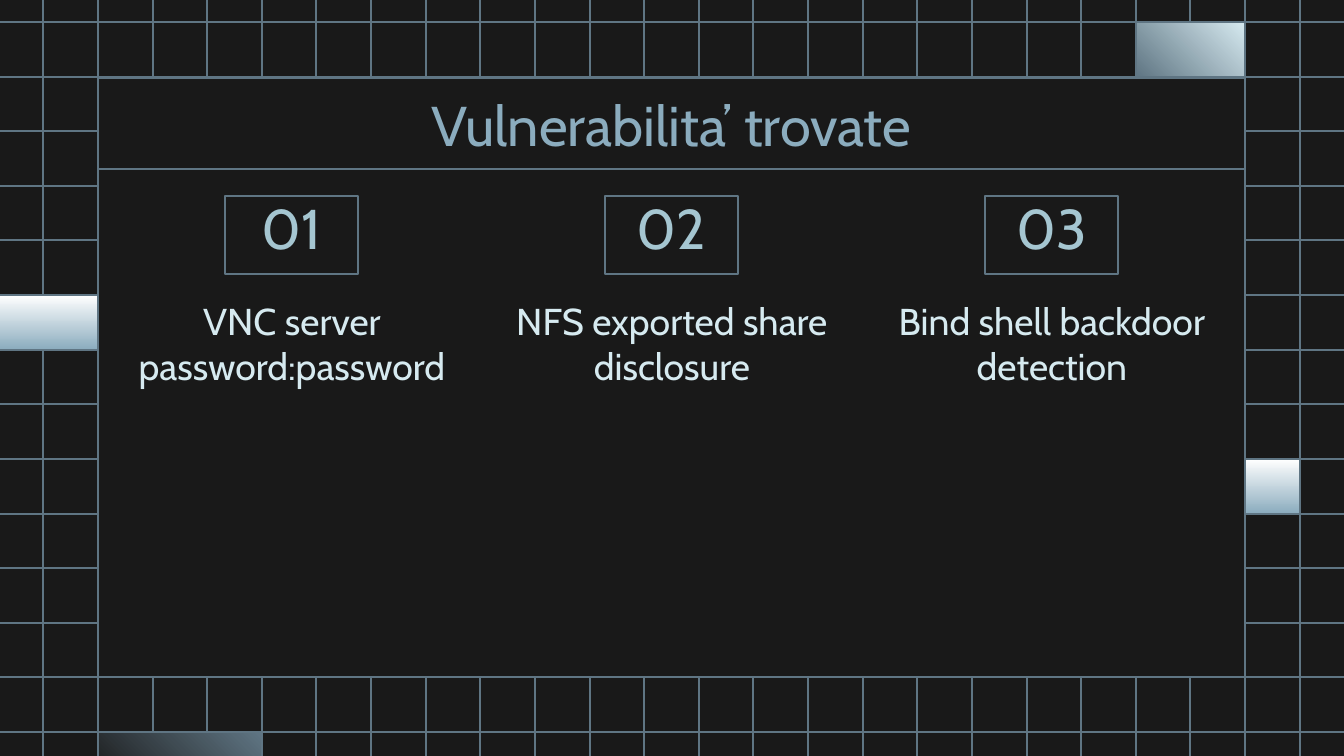
"""Build the slide of three vulnerabilities found, framed by a line grid."""
from dataclasses import dataclass
from lxml.etree import SubElement
from pptx import Presentation
from pptx.dml.color import RGBColor
from pptx.enum.shapes import MSO_CONNECTOR as Link, MSO_SHAPE as Form
from pptx.enum.text import MSO_ANCHOR as Anchor, PP_ALIGN as Align
from pptx.oxml.ns import qn
from pptx.util import Pt


@dataclass(frozen=True)
class Theme:
    font: str = "Cabin"
    back: str = "191919"
    line: str = "5F7583"
    title: str = "8BACBE"
    number: str = "A5C6D1"
    body: str = "D6EAF0"
    white: str = "FFFFFF"
    big: int = 30
    small: int = 20
    rule: float = 0.75


theme = Theme()
rgb = RGBColor.from_string
wide, high, inset = 1344, 756, 13
px = 9144000 / wide

deck = Presentation()
deck.slide_width, deck.slide_height = round(wide * px), round(high * px)
slide = deck.slides.add_slide(deck.slide_layouts[6])
slide.background.fill.solid()
slide.background.fill.fore_color.rgb = rgb(theme.back)
shapes = slide.shapes


def frame(x, y, w, h):
    box = shapes.add_shape(Form.RECTANGLE, *[round(n * px) for n in (x, y, w, h)])
    box.shadow.inherit = False
    box.fill.background()
    box.line.color.rgb = rgb(theme.line)
    box.line.width = Pt(theme.rule)
    return box


def write(box, lines, size, color, anchor=Anchor.TOP):
    text = box.text_frame
    text.word_wrap = True
    text.vertical_anchor = anchor
    text.margin_left = text.margin_right = round(inset * px)
    text.margin_top = text.margin_bottom = round(inset * px)
    text.text = "\n".join(lines)
    for para in text.paragraphs:
        para.alignment = Align.CENTER
        para.font.name = theme.font
        para.font.size = Pt(size)
        para.font.color.rgb = rgb(color)


left, right, top, low = 98, 1245, 22, 732
cols = [left + round(k * (right - left) / 21) for k in range(-1, 23)]
rows = [top + round(k * (low - top) / 13) for k in range(14)]
head, foot = rows[1], rows[-2]

grid = [(x, 0, x, high) for x in cols[:2] + cols[-2:]]
grid += [(x, a, x, b) for a, b in ((0, head), (foot, high)) for x in cols[2:-2]]
grid += [(0, y, wide, y) for y in rows[:2] + rows[-2:]]
grid += [(a, y, b, y) for a, b in ((0, left), (right, wide)) for y in rows[2:-2]]
for ends in grid:
    rule = shapes.add_connector(Link.STRAIGHT, *[round(n * px) for n in ends])
    rule.line.color.rgb = rgb(theme.line)
    rule.line.width = Pt(theme.rule)
    SubElement(rule._element.spPr, qn("a:effectLst"))

tiles = [
    (cols[20], rows[0], 109, theme.body, theme.line, 225),
    (left, low, 164, theme.line, theme.back, 225),
    (right, rows[8], 55, theme.white, theme.title, 270),
    (-11, rows[5], 109, theme.white, theme.title, 270),
]
for x, y, w, start, end, angle in tiles:
    fill = frame(x, y, w, 55).fill
    fill.gradient()
    fill.gradient_angle = angle
    for stop, color in zip(fill.gradient_stops, (start, end)):
        stop.color.rgb = rgb(color)

write(frame(left, 78, right - left, 91), ["Vulnerabilita’ trovate"], theme.big, theme.title)

finds = [
    ["VNC server password:password"],
    ["NFS exported share", "disclosure"],
    ["Bind shell backdoor", "detection"],
]
for k, lines in enumerate(finds):
    mid = wide // 2 + (k - 1) * 380
    write(frame(mid - 67, 196, 133, 78), [f"{k + 1:02}"], theme.big, theme.number, Anchor.BOTTOM)
    area = [round(n * px) for n in (mid - 189, 285, 378, 106)]
    write(shapes.add_textbox(*area), lines, theme.small, theme.body)

deck.save("out.pptx")
